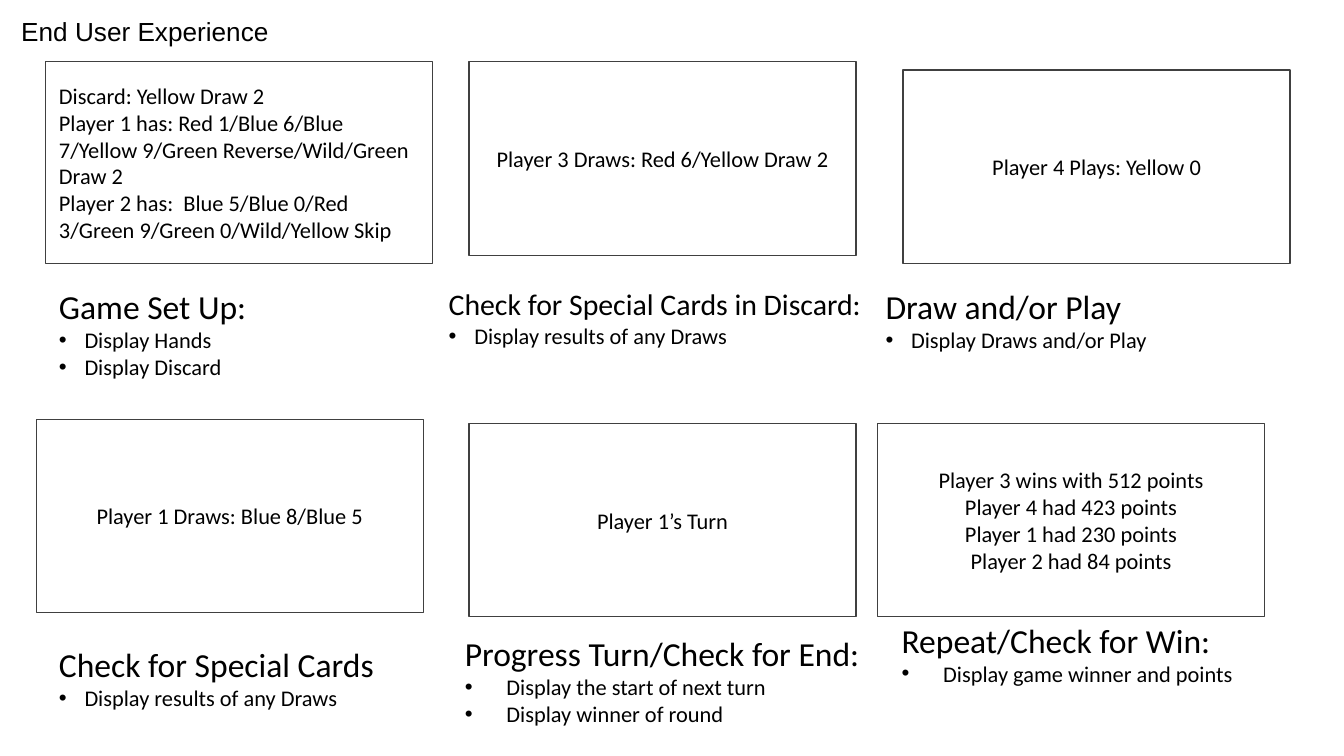
import pptx
import pptx.util
import pptx.dml.color
import pptx.enum.shapes
import pptx.enum.text
import pptx.oxml.ns
import lxml.etree

Inches = pptx.util.Inches
Pt = pptx.util.Pt
ALIGN = pptx.enum.text.PP_ALIGN
ANCHOR = pptx.enum.text.MSO_ANCHOR

# Content
TITLE = "End User Experience"
SCREEN_WIDTH, SCREEN_HEIGHT = 2.88, 1.44

# Each step: screen position, height, alignment and lines;
# caption box, heading, heading size, bullet indent and bullets
STEPS = [
    dict(screen=(0.34, 0.46), height=1.5, align=ALIGN.LEFT,
         lines=["Discard: Yellow Draw 2",
                "Player 1 has: Red 1/Blue 6/Blue 7/Yellow 9/Green Reverse/Wild/Green Draw 2",
                "Player 2 has:  Blue 5/Blue 0/Red 3/Green 9/Green 0/Wild/Yellow Skip"],
         caption=(0.34, 2.08, 2.88, 0.81), heading="Game Set Up:",
         bullets=["Display Hands", "Display Discard"]),
    dict(screen=(3.49, 0.46), lines=["Player 3 Draws: Red 6/Yellow Draw 2"],
         caption=(3.24, 2.08, 3.28, 0.57), size=16,
         heading="Check for Special Cards in Discard:",
         bullets=["Display results of any Draws"]),
    dict(screen=(6.72, 0.52), lines=["Player 4 Plays: Yellow 0"],
         caption=(6.49, 2.08, 3.38, 0.61), heading="Draw and/or Play",
         bullets=["Display Draws and/or Play"]),
    dict(screen=(0.27, 3.12), lines=["Player 1 Draws: Blue 8/Blue 5"],
         caption=(0.34, 4.74, 2.88, 0.61), heading="Check for Special Cards",
         bullets=["Display results of any Draws"]),
    dict(screen=(3.49, 3.15), lines=["Player 1’s Turn"],
         caption=(3.36, 4.66, 3.28, 0.81), indent=0.31,
         heading="Progress Turn/Check for End:",
         bullets=["Display the start of next turn", "Display winner of round"]),
    dict(screen=(6.53, 3.15),
         lines=["Player 3 wins with 512 points", "Player 4 had 423 points",
                "Player 1 had 230 points", "Player 2 had 84 points"],
         caption=(6.61, 4.56, 2.92, 0.61), indent=0.31,
         heading="Repeat/Check for Win:",
         bullets=["Display game winner and points"]),
]


def color(value):
    return pptx.dml.color.RGBColor.from_string(value)


def write(shape, lines, sizes, font="Calibri", align=ALIGN.LEFT, anchor=ANCHOR.TOP):
    frame = shape.text_frame
    frame.word_wrap = True
    frame.vertical_anchor = anchor
    frame.text = "\n".join(lines)
    for paragraph, size in zip(frame.paragraphs, sizes):
        paragraph.alignment = align
        for run in paragraph.runs:
            run.font.name = font
            run.font.size = Pt(size)
            run.font.color.rgb = color("000000")


def add_bullet(paragraph, indent):
    properties = paragraph._p.get_or_add_pPr()
    properties.set("marL", str(Inches(indent)))
    properties.set("indent", str(-Inches(indent)))
    for tag, name, value in (("a:buFont", "typeface", "Arial"), ("a:buChar", "char", "•")):
        lxml.etree.SubElement(properties, pptx.oxml.ns.qn(tag)).set(name, value)


def add_text_box(slide, box):
    shape = slide.shapes.add_textbox(*map(Inches, box))
    shape.text_frame.auto_size = pptx.enum.text.MSO_AUTO_SIZE.SHAPE_TO_FIT_TEXT
    return shape


def add_screen(slide, step):
    box = (*step["screen"], SCREEN_WIDTH, step.get("height", SCREEN_HEIGHT))
    shape = slide.shapes.add_shape(
        pptx.enum.shapes.MSO_SHAPE.RECTANGLE, *map(Inches, box))
    shape.shadow.inherit = False
    shape.fill.background()
    shape.line.color.rgb = color("404040")
    shape.line.width = Pt(0.75)
    write(shape, step["lines"], [12] * len(step["lines"]),
          align=step.get("align", ALIGN.CENTER), anchor=ANCHOR.MIDDLE)


def add_caption(slide, step):
    shape = add_text_box(slide, step["caption"])
    bullets = step["bullets"]
    write(shape, [step["heading"], *bullets],
          [step.get("size", 18)] + [12] * len(bullets))
    for paragraph in shape.text_frame.paragraphs[1:]:
        add_bullet(paragraph, step.get("indent", 0.19))


# Slide in 16:9 format
presentation = pptx.Presentation()
presentation.slide_width = Inches(10)
presentation.slide_height = Inches(10) * 9 // 16
slide = presentation.slides.add_slide(presentation.slide_layouts[6])

# Title
write(add_text_box(slide, (0.06, 0.06, 5.5, 0.34)), [TITLE], [14],
      font="Arial", anchor=ANCHOR.BOTTOM)

# Screens with their captions
for step in STEPS:
    add_screen(slide, step)
    add_caption(slide, step)

presentation.save("out.pptx")
